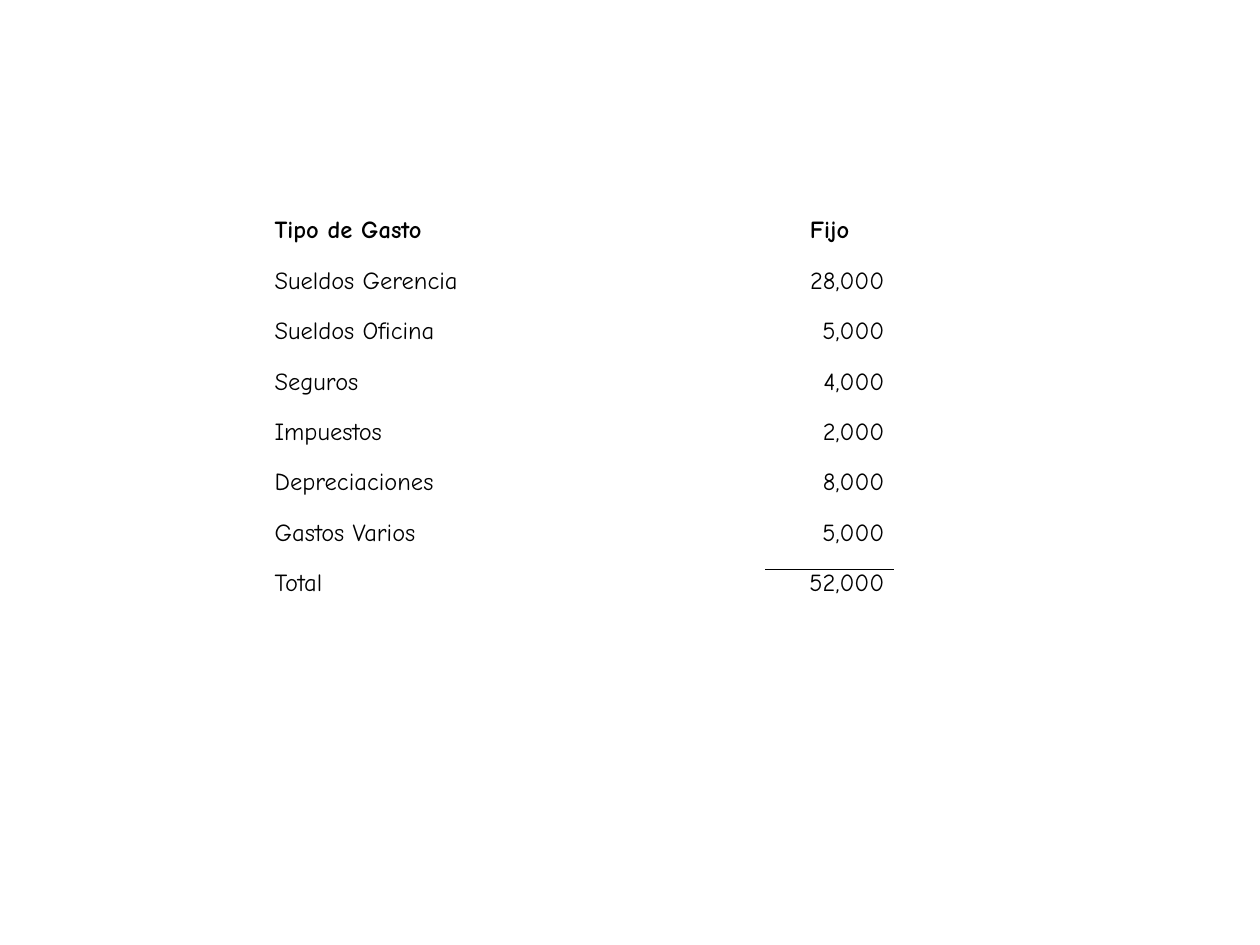
from dataclasses import dataclass
from lxml.etree import SubElement, Element
from pptx import Presentation
from pptx.dml.color import RGBColor
from pptx.enum.text import MSO_ANCHOR, PP_ALIGN as Align
from pptx.oxml.ns import qn
from pptx.util import Inches, Pt


@dataclass(frozen=True)
class Theme:
    font: str = "Comic Neue"
    ink: str = "000000"
    size: int = 14
    rule: int = 1


theme = Theme()
expenses = [
    ("Tipo de Gasto", "Fijo"),
    ("Sueldos Gerencia", "28,000"),
    ("Sueldos Oficina", "5,000"),
    ("Seguros", "4,000"),
    ("Impuestos", "2,000"),
    ("Depreciaciones", "8,000"),
    ("Gastos Varios", "5,000"),
    ("Total", "52,000"),
]
column_widths = [3.97, 1.01]
row_height = 0.4
total_row = len(expenses) - 1


def add_rule(cell, side):
    line = Element(qn(f"a:{side}"), w=str(Pt(theme.rule)))
    fill = SubElement(line, qn("a:solidFill"))
    SubElement(fill, qn("a:srgbClr"), val=theme.ink)
    cell._tc.get_or_add_tcPr().insert(0, line)


deck = Presentation()
deck.slide_width, deck.slide_height = Inches(10), Inches(7.5)
page = deck.slides.add_slide(deck.slide_layouts[6])

table = page.shapes.add_table(
    len(expenses), len(column_widths), Inches(2.11), Inches(1.72),
    Inches(sum(column_widths)), Inches(row_height * len(expenses)),
).table
table.first_row = table.horz_banding = False
for column, width in zip(table.columns, column_widths):
    column.width = Inches(width)

for row, texts in enumerate(expenses):
    table.rows[row].height = Inches(row_height)
    header = row == 0
    alignments = (Align.LEFT, Align.CENTER) if header else (Align.JUSTIFY, Align.RIGHT)
    for col, (text, alignment) in enumerate(zip(texts, alignments)):
        cell = table.cell(row, col)
        cell.fill.background()
        cell.vertical_anchor = MSO_ANCHOR.TOP
        cell.margin_left = cell.margin_right = Inches(0.07)
        cell.margin_top = cell.margin_bottom = 0
        para = cell.text_frame.paragraphs[0]
        para.alignment = alignment
        span = para.add_run()
        span.text = text
        span.font.name = theme.font
        span.font.size = Pt(theme.size)
        span.font.bold = header
        span.font.color.rgb = RGBColor.from_string(theme.ink)

add_rule(table.cell(total_row - 1, 1), "lnB")
add_rule(table.cell(total_row, 1), "lnT")

deck.save("out.pptx")
